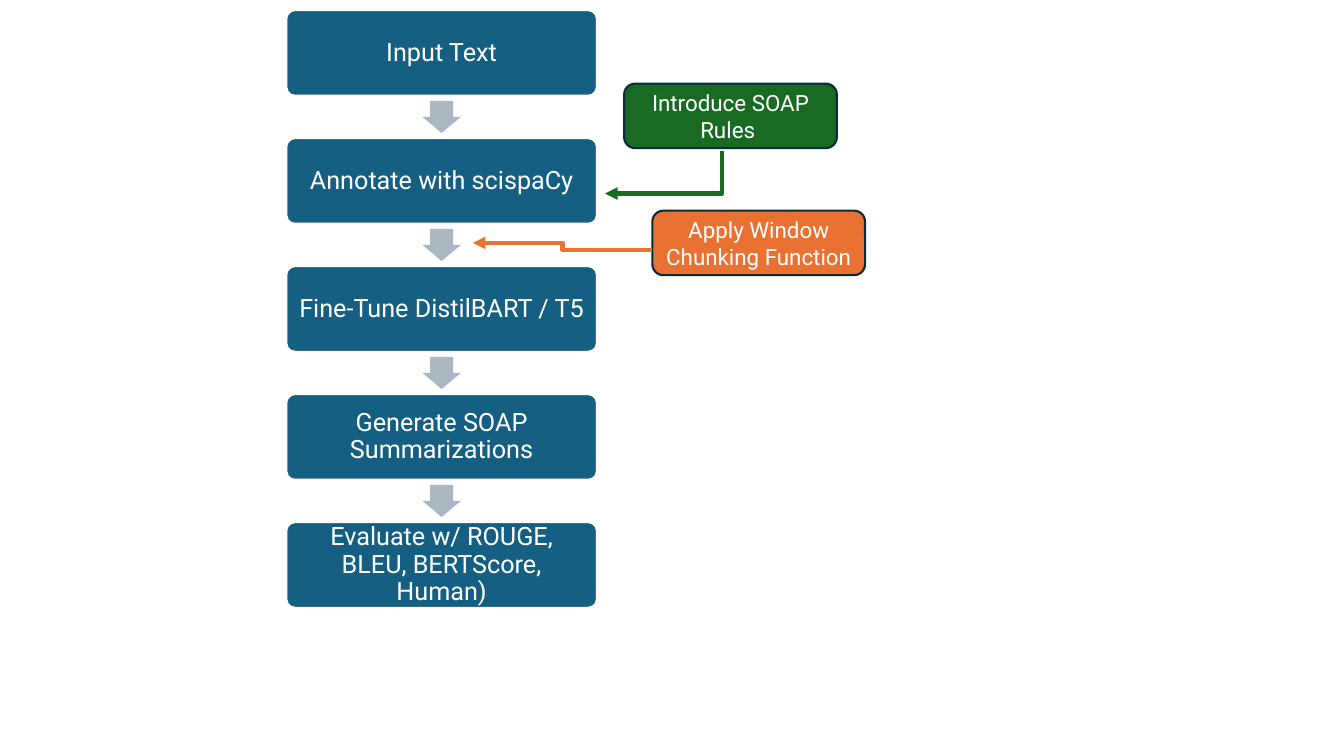
"""Build a slide with the flow of a SOAP summarization pipeline."""
from lxml.etree import SubElement
from pptx import Presentation
from pptx.dml.color import RGBColor
from pptx.enum.shapes import MSO_CONNECTOR, MSO_SHAPE
from pptx.enum.text import MSO_ANCHOR, PP_ALIGN
from pptx.oxml.ns import qn
from pptx.util import Inches, Pt

WHITE = RGBColor(0xFF, 0xFF, 0xFF)
BLUE = RGBColor(0x15, 0x60, 0x82)
GRAY = RGBColor(0xAC, 0xB7, 0xC1)
GREEN = RGBColor(0x19, 0x6B, 0x24)
ORANGE = RGBColor(0xE9, 0x71, 0x32)
NAVY = RGBColor(0x09, 0x2A, 0x39)

STEP_LEFT, STEP_TOP, STEP_WIDTH, STEP_HEIGHT = 2.84, 0.1, 3.08, 0.85
STEP_PITCH = 1.27
ARROW_WIDTH, ARROW_HEIGHT = 0.38, 0.32


def add_box(text, left, top, width, height, *, fill, outline, size,
            corner, spacing, inset_x, inset_y):
    box = slide.shapes.add_shape(MSO_SHAPE.ROUNDED_RECTANGLE, Inches(left),
                                 Inches(top), Inches(width), Inches(height))
    box.shadow.inherit = False
    box.adjustments[0] = corner
    box.fill.solid()
    box.fill.fore_color.rgb = fill
    box.line.color.rgb = outline
    box.line.width = Pt(1.5)
    frame = box.text_frame
    frame.word_wrap = True
    frame.vertical_anchor = MSO_ANCHOR.MIDDLE
    frame.margin_left = frame.margin_right = Inches(inset_x)
    frame.margin_top = frame.margin_bottom = Inches(inset_y)
    paragraph = frame.paragraphs[0]
    paragraph.alignment = PP_ALIGN.CENTER
    paragraph.line_spacing = spacing
    run = paragraph.add_run()
    run.text = text
    run.font.name = "Roboto"
    run.font.size = Pt(size)
    run.font.color.rgb = WHITE


def add_elbow(start_x, start_y, end_x, end_y, color):
    elbow = slide.shapes.add_connector(MSO_CONNECTOR.ELBOW, Inches(start_x),
                                       Inches(start_y), Inches(end_x), Inches(end_y))
    elbow.line.color.rgb = color
    elbow.line.width = Pt(3)
    SubElement(elbow.line._get_or_add_ln(), qn("a:tailEnd"), type="triangle")
    SubElement(elbow._element.spPr, qn("a:effectLst"))
    return elbow


prs = Presentation()
prs.slide_width = Inches(13.33)
prs.slide_height = Inches(7.5)
slide = prs.slides.add_slide(prs.slide_layouts[6])

steps = [
    "Input Text",
    "Annotate with scispaCy",
    "Fine-Tune DistilBART / T5",
    "Generate SOAP Summarizations",
    "Evaluate w/ ROUGE, BLEU, BERTScore, Human)",
]
for index, step in enumerate(steps):
    step_top = STEP_TOP + index * STEP_PITCH
    add_box(step, STEP_LEFT, step_top, STEP_WIDTH, STEP_HEIGHT, fill=BLUE,
            outline=WHITE, size=18, corner=0.1, spacing=0.9,
            inset_x=0.07, inset_y=0.07)
    if index < len(steps) - 1:
        gap_middle = step_top + (STEP_HEIGHT + STEP_PITCH) / 2
        flow = slide.shapes.add_shape(
            MSO_SHAPE.DOWN_ARROW,
            Inches(STEP_LEFT + (STEP_WIDTH - ARROW_WIDTH) / 2),
            Inches(gap_middle - ARROW_HEIGHT / 2),
            Inches(ARROW_WIDTH), Inches(ARROW_HEIGHT))
        flow.shadow.inherit = False
        flow.adjustments[0] = 0.6
        flow.adjustments[1] = 0.5
        flow.fill.solid()
        flow.fill.fore_color.rgb = GRAY
        flow.line.fill.background()

for note, left, top, color in [
    ("Introduce SOAP Rules ", 6.19, 0.83, GREEN),
    ("Apply Window Chunking Function", 6.47, 2.09, ORANGE),
]:
    add_box(note, left, top, 2.11, 0.64, fill=color, outline=NAVY, size=16,
            corner=0.17, spacing=1.0, inset_x=0.1, inset_y=0.05)

rules_link = add_elbow(6.37, 1.13, 6.79, 2.29, GREEN)
rules_link._element.spPr.find(qn("a:prstGeom")).set("prst", "bentConnector2")
rules_link._element.spPr.find(qn("a:xfrm")).set("rot", str(90 * 60000))
add_elbow(6.47, 2.48, 4.69, 2.41, ORANGE)

prs.save("out.pptx")
